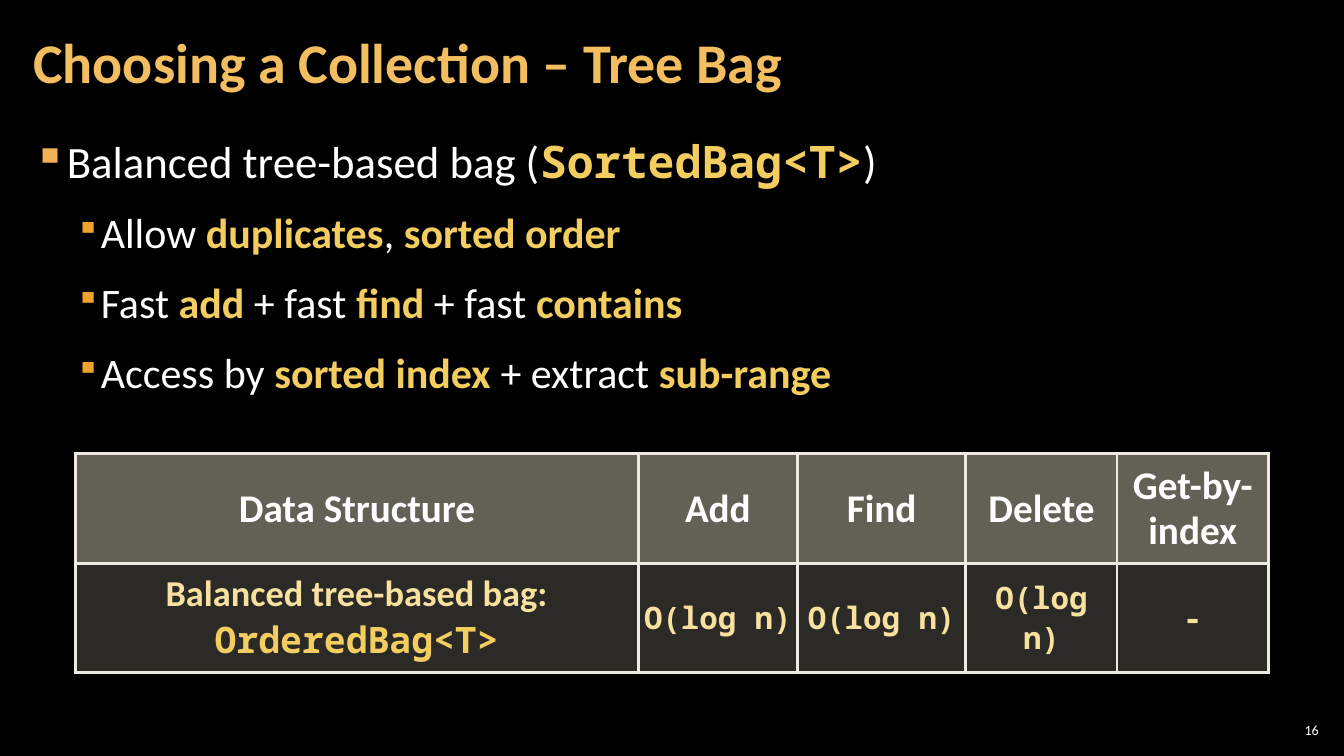
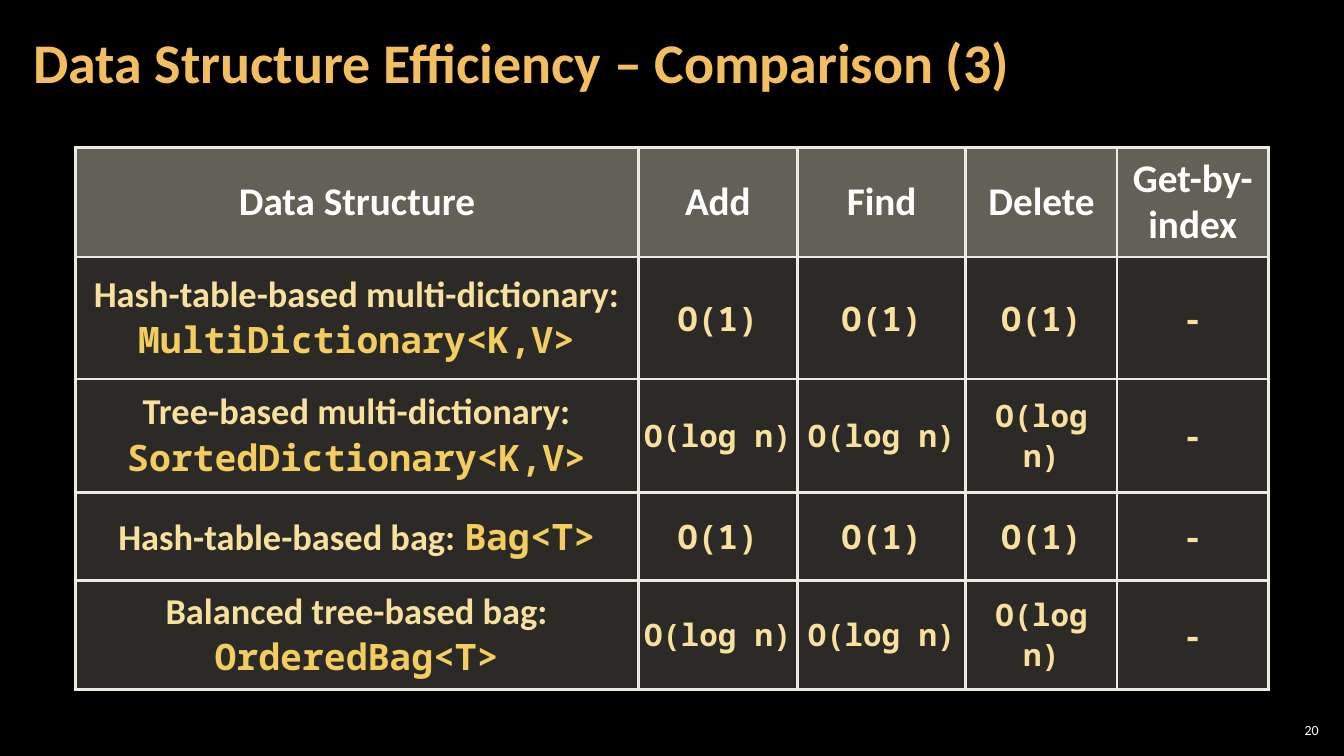
import lxml.etree
import pptx
import pptx.dml.color
import pptx.enum.text
import pptx.oxml.ns
import pptx.util

Inches = pptx.util.Inches
Pt = pptx.util.Pt
qn = pptx.oxml.ns.qn
ALIGN = pptx.enum.text.PP_ALIGN
MIDDLE = pptx.enum.text.MSO_ANCHOR.MIDDLE


def color(value):
    return pptx.dml.color.RGBColor.from_string(value)


def add_element(parent, tag, **attributes):
    return lxml.etree.SubElement(parent, qn(tag), attributes)


class Deck:
    SANS, MONO = "Calibri", "Noto Sans Mono"
    BLACK, WHITE = "000000", "FFFFFF"
    TITLE, EMPHASIS, CELL_TEXT = "F3BE60", "F3CD60", "F8E19F"
    BORDER = "ECEAE3"
    HEADER_FILL, BODY_FILL = ("C6C0AA", 50), ("D9D5C7", 20)  # colour, opacity %
    COLUMNS = (5.58, 1.58, 1.67, 1.5, 1.5)
    HEADINGS = ("Data Structure", "Add", "Find", "Delete", "Get-by-index")

    def __init__(self):
        self.presentation = pptx.Presentation()
        self.presentation.slide_width = Inches(13.33)
        self.presentation.slide_height = Inches(7.5)
        fill = self.presentation.slide_master.background.fill
        fill.solid()
        fill.fore_color.rgb = color(self.BLACK)
        self.slide = None

    def style(self, font, size, value, bold=False, name=SANS):
        font.name, font.size, font.bold = name, Pt(size), bold
        font.color.rgb = color(value)

    def frame(self, text_frame, horizontal, vertical):
        text_frame.word_wrap = True
        text_frame.auto_size = pptx.enum.text.MSO_AUTO_SIZE.NONE
        text_frame.margin_left = text_frame.margin_right = Inches(horizontal)
        text_frame.margin_top = text_frame.margin_bottom = Inches(vertical)

    def add_slide(self, title, number):
        self.slide = self.presentation.slides.add_slide(
            self.presentation.slide_layouts[5])
        shape = self.slide.shapes.title
        shape.left, shape.top = Inches(0.21), Inches(0.04)
        shape.width, shape.height = Inches(10.47), Inches(1.21)
        shape.text_frame.text = title
        self.frame(shape.text_frame, 0.12, 0.04)
        shape.text_frame.vertical_anchor = MIDDLE
        paragraph = shape.text_frame.paragraphs[0]
        paragraph.alignment, paragraph.line_spacing = ALIGN.LEFT, 0.9
        self.style(paragraph.font, 40, self.TITLE, True)
        self.add_number(number)

    def add_number(self, number):
        shape = self.slide.shapes.add_textbox(
            Inches(12.65), Inches(7.14), Inches(0.47), Inches(0.21))
        self.frame(shape.text_frame, 0.04, 0.04)
        shape.text_frame.vertical_anchor = MIDDLE
        paragraph = shape.text_frame.paragraphs[0]
        paragraph.text = str(number)
        paragraph.alignment = ALIGN.RIGHT
        self.style(paragraph.font, 10, self.WHITE)

    def add_bullets(self, items):
        """Each item: level, then runs that alternate plain and emphasised."""
        shape = self.slide.shapes.add_textbox(
            Inches(0.21), Inches(1.26), Inches(12.91), Inches(6.09))
        self.frame(shape.text_frame, 0.12, 0.04)
        for index, (level, *texts) in enumerate(items):
            paragraph = (shape.text_frame.add_paragraph() if index
                         else shape.text_frame.paragraphs[0])
            self.add_bullet_mark(paragraph, level)
            paragraph.line_spacing = 1.05
            paragraph.space_after = Pt(6)
            if index:
                paragraph.space_before = Pt(6)
            size = 30 if level else 32
            self.style(paragraph.font, size, self.WHITE)
            for position, text in enumerate(texts):
                run = paragraph.add_run()
                run.text = text
                if position % 2:
                    self.style(run.font, size, self.EMPHASIS, True,
                               self.SANS if level else self.MONO)

    def add_bullet_mark(self, paragraph, level):
        left, hanging, value, percent = (
            (0.67, 0.25, "F0A22E", 80) if level else (0.33, 0.33, "F2B254", 100))
        paragraph.level = level
        properties = paragraph._p.get_or_add_pPr()
        properties.set("marL", str(Inches(left)))
        properties.set("indent", str(-Inches(hanging)))
        add_element(add_element(properties, "a:buClr"), "a:srgbClr", val=value)
        add_element(properties, "a:buSzPct", val=str(percent * 1000))
        add_element(properties, "a:buChar", char="▪")

    def add_table(self, top, heights, rows):
        """Each row: description, class name, cost of add, find and delete."""
        table = self.slide.shapes.add_table(
            len(heights), len(self.COLUMNS), Inches(0.75), Inches(top),
            Inches(sum(self.COLUMNS)), Inches(sum(heights))).table
        table.first_row = table.horz_banding = False
        for column, width in zip(table.columns, self.COLUMNS):
            column.width = Inches(width)
        for row, height in zip(table.rows, heights):
            row.height = Inches(height)
        # Header row
        for column, heading in enumerate(self.HEADINGS):
            self.fill_cell(table.cell(0, column), heading, 28, self.WHITE,
                           self.HEADER_FILL)
        # One row for each data structure
        for index, (description, class_name, cost) in enumerate(rows, 1):
            paragraph = self.fill_cell(table.cell(index, 0), description + " ",
                                       26, self.CELL_TEXT)
            run = paragraph.add_run()
            run.text = class_name
            self.style(run.font, 26, self.EMPHASIS, True, self.MONO)
            narrow = cost != "O(1)"
            for column, text in enumerate((cost, cost, cost, "-"), 1):
                cell = table.cell(index, column)
                size = 22 if narrow and text == cost else 24
                self.fill_cell(cell, text, size, self.CELL_TEXT, name=self.MONO)
                if narrow:
                    cell.margin_left = cell.margin_right = Inches(0.04)

    def fill_cell(self, cell, text, size, value, fill=BODY_FILL, name=SANS):
        cell.vertical_anchor = MIDDLE
        paragraph = cell.text_frame.paragraphs[0]
        paragraph.alignment, paragraph.line_spacing = ALIGN.CENTER, 0.95
        self.style(paragraph.font, size, value, True, name)
        paragraph.add_run().text = text
        # Borders come before the fill in the cell properties
        properties = cell._tc.get_or_add_tcPr()
        for side in ("a:lnL", "a:lnR", "a:lnT", "a:lnB"):
            line = add_element(properties, side, w=str(Pt(2.25)))
            add_element(add_element(line, "a:solidFill"), "a:srgbClr",
                        val=self.BORDER)
        fill_color, opacity = fill
        cell.fill.solid()
        cell.fill.fore_color.rgb = color(fill_color)
        add_element(properties.find(qn("a:solidFill")).find(qn("a:srgbClr")),
                    "a:alpha", val=str(opacity * 1000))
        return paragraph


def main():
    deck = Deck()
    constant, logarithmic = "O(1)", "O(log n)"
    balanced_bag = ("Balanced tree-based bag:", "OrderedBag<T>", logarithmic)

    # Tree bag
    deck.add_slide("Choosing a Collection – Tree Bag", 16)
    deck.add_bullets([
        (0, "Balanced tree-based bag (", "SortedBag<T>", ")"),
        (1, "Allow ", "duplicates", ", ", "sorted order"),
        (1, "Fast ", "add", " + fast ", "find", " + fast ", "contains"),
        (1, "Access by ", "sorted index", " + extract ", "sub-range"),
    ])
    deck.add_table(4.5, (1.09, 1.08), [balanced_bag])

    # Comparison
    deck.add_slide("Data Structure Efficiency – Comparison (3)", 20)
    deck.add_table(1.46, (1.09, 1.21, 1.13, 0.87, 1.08), [
        ("Hash-table-based multi-dictionary:", "MultiDictionary<K,V>", constant),
        ("Tree-based multi-dictionary:", "SortedDictionary<K,V>", logarithmic),
        ("Hash-table-based bag:", "Bag<T>", constant),
        balanced_bag,
    ])

    deck.presentation.save("out.pptx")


if __name__ == "__main__":
    main()
